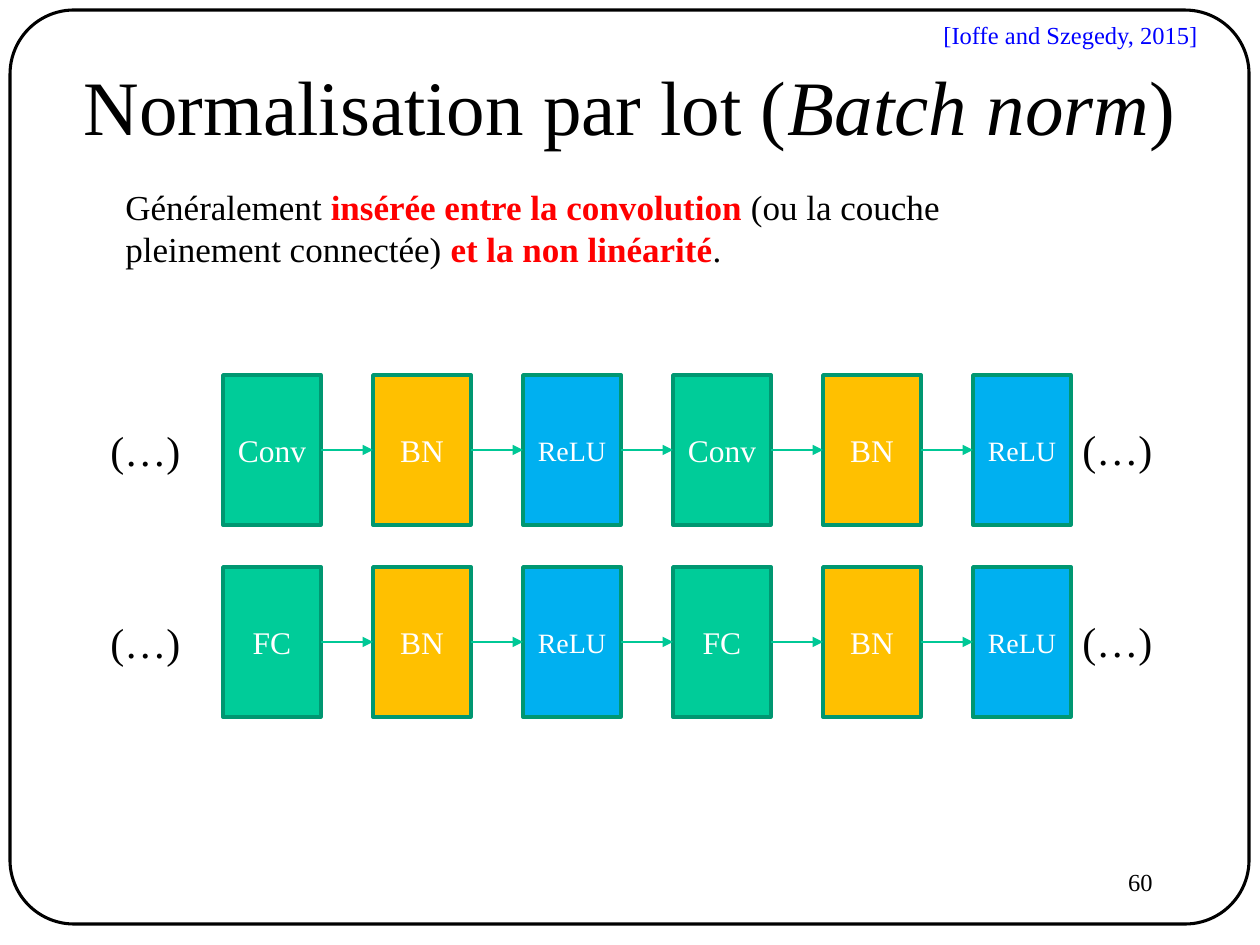
from lxml.etree import SubElement
from pptx import Presentation
from pptx.dml.color import RGBColor
from pptx.enum.shapes import MSO_CONNECTOR as CONN, MSO_SHAPE as SHAPE
from pptx.enum.text import MSO_ANCHOR as ANCHOR, PP_ALIGN as ALIGN
from pptx.oxml.ns import qn
from pptx.util import Emu, Pt

FONT = "Times New Roman"
BLACK, WHITE, RED, BLUE = "000000", "FFFFFF", "FF0000", "0000FF"
GREEN, AMBER, SKY = "00CC99", "FFC000", "00B0F0"
EDGE, ARROW = "009771", "00C896"
BLOCK_X, BLOCK_W, BLOCK_H, PITCH = 223, 98, 150, 150


def px(n):
    """Turn pixels at 126 to the inch into EMU."""
    return Emu(round(n * 914400 / 126))


def rgb(color):
    """Turn a hex string into a colour."""
    return RGBColor.from_string(color)


def add_run(p, text, size, color=BLACK, bold=False, italic=False):
    """Add one formatted run to a paragraph."""
    r = p.add_run()
    r.text = text
    r.font.name = FONT
    r.font.size = Pt(size)
    r.font.bold = bold
    r.font.italic = italic
    r.font.color.rgb = rgb(color)


def add_text(s, box, lines, size, align=ALIGN.LEFT, anchor=ANCHOR.TOP, wrap=True):
    """Add a text box whose lines are lists of (text, format) pairs."""
    tf = s.shapes.add_textbox(*map(px, box)).text_frame
    tf.word_wrap = wrap
    tf.vertical_anchor = anchor
    for i, runs in enumerate(lines):
        p = tf.add_paragraph() if i else tf.paragraphs[0]
        p.alignment = align
        for text, style in runs:
            add_run(p, text, size, **style)


def add_frame(s):
    """Draw the rounded border of the slide."""
    sp = s.shapes.add_shape(SHAPE.ROUNDED_RECTANGLE, *map(px, (10, 10, 1239, 914)))
    sp.adjustments[0] = 0.07
    sp.shadow.inherit = False
    sp.fill.background()
    sp.line.color.rgb = rgb(BLACK)
    sp.line.width = Pt(1.75)


def add_block(s, x, y, label, size, fill):
    """Draw one labelled network layer."""
    sp = s.shapes.add_shape(SHAPE.RECTANGLE, *map(px, (x, y, BLOCK_W, BLOCK_H)))
    sp.shadow.inherit = False
    sp.fill.solid()
    sp.fill.fore_color.rgb = rgb(fill)
    sp.line.color.rgb = rgb(EDGE)
    sp.line.width = Pt(2)
    tf = sp.text_frame
    tf.word_wrap = False
    tf.vertical_anchor = ANCHOR.MIDDLE
    p = tf.paragraphs[0]
    p.alignment = ALIGN.CENTER
    add_run(p, label, size, WHITE)


def add_arrow(s, x1, x2, y):
    """Draw a horizontal arrow between two layers."""
    c = s.shapes.add_connector(CONN.STRAIGHT, *map(px, (x1, y, x2, y)))
    c.line.color.rgb = rgb(ARROW)
    c.line.width = Pt(0.75)
    SubElement(c.line._get_or_add_ln(), qn("a:tailEnd"), type="triangle")
    SubElement(c._element.spPr, qn("a:effectLst"))


def add_chain(s, y, first):
    """Draw a row of six layers joined by arrows, between ellipses."""
    layers = [(first, 18, GREEN), ("BN", 18, AMBER), ("ReLU", 16, SKY)] * 2
    for i, layer in enumerate(layers):
        x = BLOCK_X + i * PITCH
        add_block(s, x, y, *layer)
        if i:
            add_arrow(s, x - PITCH + BLOCK_W, x, y + BLOCK_H // 2)
    for x, dy in ((98, 43), (1070, 42)):
        add_text(s, (x, y + dy, 96, 63), [[("(…)", {})]], 24, wrap=False)


def main():
    """Build the slide and save it."""
    prs = Presentation()
    prs.slide_width, prs.slide_height = px(1260), px(945)
    s = prs.slides.add_slide(prs.slide_layouts[6])
    add_frame(s)
    add_text(s, (903, 861, 262, 63), [[("60", {})]], 14, ALIGN.RIGHT)
    for y, first in ((375, "Conv"), (567, "FC")):
        add_chain(s, y, first)
    title = [("Normalisation par lot (", {}), ("Batch norm", {"italic": True}), (")", {})]
    add_text(s, (52, 26, 1155, 158), [title], 44, ALIGN.CENTER, ANCHOR.MIDDLE)
    citation = [("[Ioffe and Szegedy, 2015]", {"color": BLUE})]
    add_text(s, (931, 14, 281, 43), [citation], 14, wrap=False)
    strong = {"color": RED, "bold": True}
    body = [
        [("Généralement ", {}), ("insérée entre la convolution ", strong), ("(ou la couche", {})],
        [("pleinement connectée) ", {}), ("et la non linéarité", strong), (".", {})],
    ]
    add_text(s, (113, 179, 868, 97), body, 20)
    prs.save("out.pptx")


if __name__ == "__main__":
    main()
